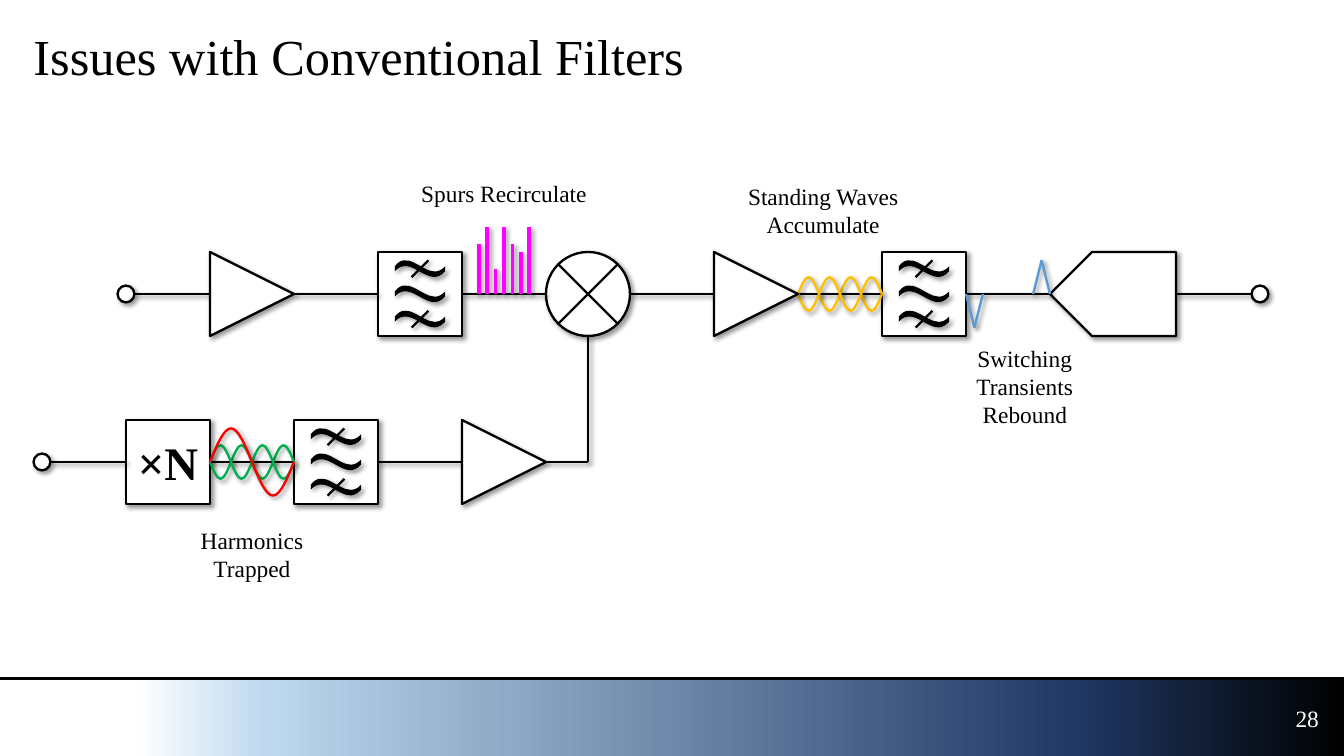
from lxml import etree
from pptx import Presentation
from pptx.dml.color import RGBColor
from pptx.enum.shapes import MSO_CONNECTOR, MSO_SHAPE
from pptx.enum.text import MSO_ANCHOR, PP_ALIGN
from pptx.oxml.ns import qn
from pptx.util import Inches, Pt

RECT, OVAL = MSO_SHAPE.RECTANGLE, MSO_SHAPE.OVAL
AMP, PLATE = MSO_SHAPE.ISOSCELES_TRIANGLE, MSO_SHAPE.PENTAGON
STRAIGHT, MIDDLE = MSO_CONNECTOR.STRAIGHT, MSO_ANCHOR.MIDDLE
LEFT, CENTER, RIGHT = PP_ALIGN.LEFT, PP_ALIGN.CENTER, PP_ALIGN.RIGHT

FONT = "Times New Roman"
BLACK, WHITE = "000000", "FFFFFF"
PINK, GREEN, RED, GOLD, BLUE = "FF00FF", "00B050", "FF0000", "FFC000", "5B9BD5"
STOPS = [(0, WHITE), (10, WHITE), (20, "BDD7EE"), (80, "203864"), (100, BLACK)]
TOP, LOW = 3.5, 5.5  # centre heights of the two signal rows

# text, box, alignment, size, colour, line spacing
TEXTS = [
    ("Issues with Conventional Filters", (0.3, 0.3, 15.4, 0.8), LEFT, 43.2, BLACK, 0.9),
    ("28", (15.1, 8.3, 0.7, 0.5), RIGHT, 20, WHITE, 1),
    ("Spurs Recirculate", (4.9, 2, 2.2, 0.6), CENTER, 20, BLACK, 1),
    ("Standing Waves\nAccumulate", (8.8, 2.1, 2, 0.8), CENTER, 20, BLACK, 1),
    ("Switching\nTransients\nRebound", (11.5, 4, 1.4, 1.2), CENTER, 20, BLACK, 1),
    ("Harmonics\nTrapped", (2.2, 6.2, 1.6, 0.8), CENTER, 20, BLACK, 1),
]
AMPS = [(2.5, TOP), (8.5, TOP), (5.5, LOW)]
FILTERS = [(4.5, TOP), (10.5, TOP), (3.5, LOW)]
PORTS = [(1.5, TOP), (15, TOP), (0.5, LOW)]
WIRES = [
    (1.6, TOP, 2.5, TOP), (3.5, TOP, 4.5, TOP), (5.5, TOP, 6.5, TOP),
    (7.5, TOP, 8.5, TOP), (9.5, TOP, 10.5, TOP), (11.5, TOP, 12.5, TOP),
    (14, TOP, 14.9, TOP), (0.6, LOW, 1.5, LOW), (2.5, LOW, 3.5, LOW),
    (4.5, LOW, 5.5, LOW), (6.5, LOW, 7, LOW), (7, 4, 7, LOW),
]
SPURS = [0.6, 0.8, 0.3, 0.8, 0.6, 0.5, 0.8]
# left, middle, height, half waves per inch, whether it starts upwards, colour
WAVES = [
    (2.5, LOW, 0.2, 4, False, GREEN), (2.5, LOW, 0.2, 4, True, GREEN),
    (2.5, LOW, 0.4, 2, True, RED),
    (9.5, TOP, 0.2, 4, True, GOLD), (9.5, TOP, 0.2, 4, False, GOLD),
]
PULSES = [(12.4, -0.4), (11.6, 0.4)]
# Bezier edges: half a wave in a unit box, and the tilde in inches
BUMP = [
    ((0, 1), (0.16, 0.5), (0.33, 0), (0.5, 0)),
    ((0.5, 0), (0.67, 0), (0.84, 0.5), (1, 1)),
]
TILDE = [
    ((0.11, 0), (0.27, -0.02), (0.44, 0.25), (0.6, 0.07)),
    ((0.6, 0.13), (0.4, 0.36), (0.2, -0.09), (0, 0.13)),
    ((0, 0.07), (0.04, 0.02), (0.08, 0), (0.11, 0)),
]

deck = Presentation()
deck.slide_width, deck.slide_height = Inches(16), Inches(9)
page = deck.slides.add_slide(deck.slide_layouts[6]).shapes
sides = {}


def rgb(code):
    return RGBColor.from_string(code)


def add(parent, tag, **attrs):
    return etree.SubElement(parent, qn(tag), attrs)


def style(item, line=BLACK, width=2, shadow=True):
    if line:
        item.line.color.rgb = rgb(line)
        item.line.width = Pt(width)
    else:
        item.line.fill.background()
    effects = add(item._element.spPr, "a:effectLst")
    if shadow:
        cast = add(effects, "a:outerShdw", blurRad=str(Pt(4)), dist=str(Pt(3)),
                   dir="2700000", algn="tl", rotWithShape="0")
        add(add(cast, "a:srgbClr", val=BLACK), "a:alpha", val="40000")


def shape(home, kind, box, turn=0):
    item = home.add_shape(kind, *map(Inches, box))
    item.rotation = turn
    item.fill.solid()
    item.fill.fore_color.rgb = rgb(WHITE)
    style(item)
    return item


def line(home, ends, color=BLACK, width=2, shadow=True):
    item = home.add_connector(STRAIGHT, *map(Inches, ends))
    style(item, color, width, shadow)
    return item


def outline(home, box, edges, closed=False):
    """Draw Bezier edges, given in inches from the box corner, joined by lines."""
    x, y, w, h = map(Inches, box)
    pen = home.build_freeform(x, y, scale=1)
    pen.add_line_segments([(x + w, y + h)], close=False)
    item = pen.convert_to_shape()
    track = item._element.spPr.find(".//" + qn("a:path"))
    for old in list(track):
        track.remove(old)

    def step(tag, *dots):
        node = add(track, tag)
        for px, py in dots:
            add(node, "a:pt", x=str(Inches(px)), y=str(Inches(py)))

    last = None
    for start, *rest in edges:
        if start != last:
            step("a:lnTo" if last else "a:moveTo", start)
        step("a:cubicBezTo", *rest)
        last = rest[-1]
    if closed:
        step("a:close")
    return item


def write(item, text, align, size, color, space=1, bold=False):
    frame = item.text_frame
    frame.word_wrap, frame.vertical_anchor = False, MIDDLE
    frame.text = text
    look = {"name": FONT, "size": Pt(size), "bold": bold}
    for para in frame.paragraphs:
        para.alignment = align
        para.line_spacing = space
        for key, value in look.items():
            setattr(para.font, key, value)
        para.font.color.rgb = rgb(color)


def block(home, x, y):
    """Draw a square block and note the middles of its sides for wiring."""
    item = shape(home, RECT, (x, y - 0.5, 1, 1))
    sides[x, y] = item, 1
    sides[x + 1, y] = item, 3
    return item


def bandpass(x, y):
    home = page.add_group_shape().shapes
    block(home, x, y)
    for drop in (-0.4, -0.1, 0.2):
        tilde = outline(home, (x + 0.2, y + drop, 0.6, 0.2), TILDE, True)
        tilde.fill.solid()
        tilde.fill.fore_color.rgb = rgb(BLACK)
        style(tilde, None)
    for drop in (-0.4, 0.2):
        line(home, (x + 0.6, y + drop, x + 0.4, y + drop + 0.2))


def ripple(x, y, tall, rate, up, color):
    """Chain equal half waves over one inch, every second one turned round."""
    home = page.add_group_shape().shapes
    wide = 1 / rate
    edges = [tuple((px * wide, (py if up else 1 - py) * tall) for px, py in edge)
             for edge in BUMP]
    for n in range(rate):
        above = up == (n % 2 == 0)
        half = outline(home, (x + n * wide, y - tall * above, wide, tall), edges)
        half.rotation = n % 2 * 180
        half.fill.background()
        style(half, color)


# Footer
bar = page.add_shape(RECT, 0, Inches(8.1), Inches(16), Inches(0.9))
bar.fill.gradient()
bar.fill.gradient_angle = 0
stops = bar._element.spPr.find(".//" + qn("a:gsLst"))
for old in list(stops):
    stops.remove(old)
for spot, code in STOPS:
    add(add(stops, "a:gs", pos=str(spot * 1000)), "a:srgbClr", val=code)
style(bar, None, shadow=False)
line(page, (0, 8.08, 16, 8.08), width=3, shadow=False)

# Text
for text, box, *looks in TEXTS:
    label = page.add_textbox(*map(Inches, box))
    write(label, text, *looks)

# Parts
for x, y in FILTERS:
    bandpass(x, y)
for x, y in PORTS:
    shape(page, OVAL, (x - 0.1, y - 0.1, 0.2, 0.2))
shape(page, PLATE, (12.5, TOP - 0.5, 1.5, 1), 180)
times = block(page, 1.5, LOW)
write(times, "×N", CENTER, 40, BLACK, bold=True)
for edge in ("left", "top", "right", "bottom"):
    setattr(times.text_frame, "margin_" + edge, 0)
mixer = page.add_group_shape().shapes
shape(mixer, OVAL, (6.5, TOP - 0.5, 1, 1))
for rise in (0.35, -0.35):
    line(mixer, (6.65, TOP - rise, 7.35, TOP + rise), shadow=False)

# Wires
for ends in WIRES:
    wire = line(page, ends)
    if ends[:2] in sides:
        wire.begin_connect(*sides[ends[:2]])
    if ends[2:] in sides:
        wire.end_connect(*sides[ends[2:]])

# Signals
for n, tall in enumerate(SPURS):
    x = 5.7 + n * 0.1
    line(page, (x, TOP, x, TOP - tall), PINK, 3)
for wave in WAVES:
    ripple(*wave)
for x, tall in PULSES:
    pulse = page.add_group_shape().shapes
    for foot in (x - 0.1, x + 0.1):
        line(pulse, (foot, TOP, x, TOP + tall), BLUE)

# Amplifiers cover the ends of wires and waves
for x, y in AMPS:
    shape(page, AMP, (x, y - 0.5, 1, 1), 90)

deck.save("out.pptx")
